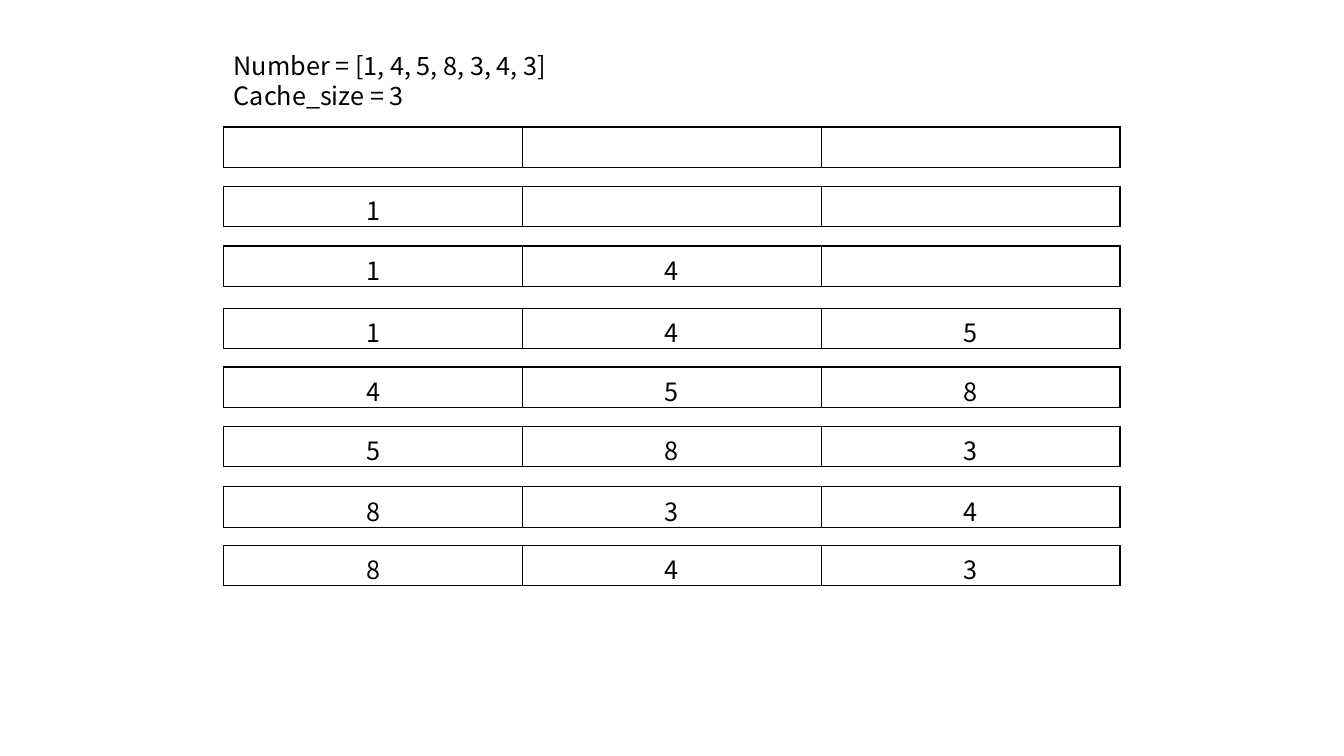
from lxml import etree
from pptx import Presentation
from pptx.dml.color import RGBColor
from pptx.enum.text import MSO_ANCHOR, MSO_AUTO_SIZE, PP_ALIGN
from pptx.oxml.ns import qn
from pptx.util import Emu, Pt

CENTER, LEFT = PP_ALIGN.CENTER, PP_ALIGN.LEFT
MIDDLE = MSO_ANCHOR.MIDDLE
FIT_SHAPE = MSO_AUTO_SIZE.SHAPE_TO_FIT_TEXT
EMU_PER_PX = 9144  # 100 px to the inch
FONT = "Noto Sans CJK KR"
BLACK = "000000"
CACHE_LEFT, CACHE_WIDTH, ROW_HEIGHT = 222, 889, 40
CACHE_SIZE = 3
CACHE_STATES = [
    (126, ""),
    (185, "1"),
    (244, "14"),
    (306, "145"),
    (364, "458"),
    (423, "583"),
    (483, "834"),
    (541, "843"),
]


def px(n):
    return Emu(n * EMU_PER_PX)


def rgb(color):
    return RGBColor.from_string(color)


def write(p, text, size=18, color=BLACK, font=FONT, align=LEFT):
    p.alignment = align
    r = p.add_run()
    r.text = text
    r.font.size = Pt(size)
    r.font.name = font
    r.font.color.rgb = rgb(color)
    etree.SubElement(r.font._element, qn("a:ea"), typeface=font)


def add_text(s, x, y, w, h, lines):
    tf = s.shapes.add_textbox(px(x), px(y), px(w), px(h)).text_frame
    tf.word_wrap = False
    tf.auto_size = FIT_SHAPE
    for i, line in enumerate(lines):
        p = tf.add_paragraph() if i else tf.paragraphs[0]
        write(p, line)


def set_borders(cell, color=BLACK, width=1):
    tcPr = cell._tc.get_or_add_tcPr()
    for i, side in enumerate(("lnL", "lnR", "lnT", "lnB")):
        ln = etree.Element(qn(f"a:{side}"), w=str(Pt(width)))
        fill = etree.SubElement(ln, qn("a:solidFill"))
        etree.SubElement(fill, qn("a:srgbClr"), val=color)
        tcPr.insert(i, ln)


def add_cache(s, top, values):
    """Draw one cache state as a one-row table, filled from the left."""
    table = s.shapes.add_table(1, CACHE_SIZE, px(CACHE_LEFT), px(top),
                               px(CACHE_WIDTH), px(ROW_HEIGHT)).table
    table.first_row = table.horz_banding = False
    for cell, value in zip(table.rows[0].cells, values.ljust(CACHE_SIZE)):
        cell.fill.background()
        cell.vertical_anchor = MIDDLE
        set_borders(cell)
        if value.strip():
            write(cell.text_frame.paragraphs[0], value, align=CENTER)


def main():
    prs = Presentation()
    prs.slide_width, prs.slide_height = px(1333), px(750)
    s = prs.slides.add_slide(prs.slide_layouts[6])
    add_text(s, 222, 45, 332, 71,
             ["Number = [1, 4, 5, 8, 3, 4, 3]", "Cache_size = 3"])
    for top, values in CACHE_STATES:
        add_cache(s, top, values)
    prs.save("out.pptx")


if __name__ == "__main__":
    main()
